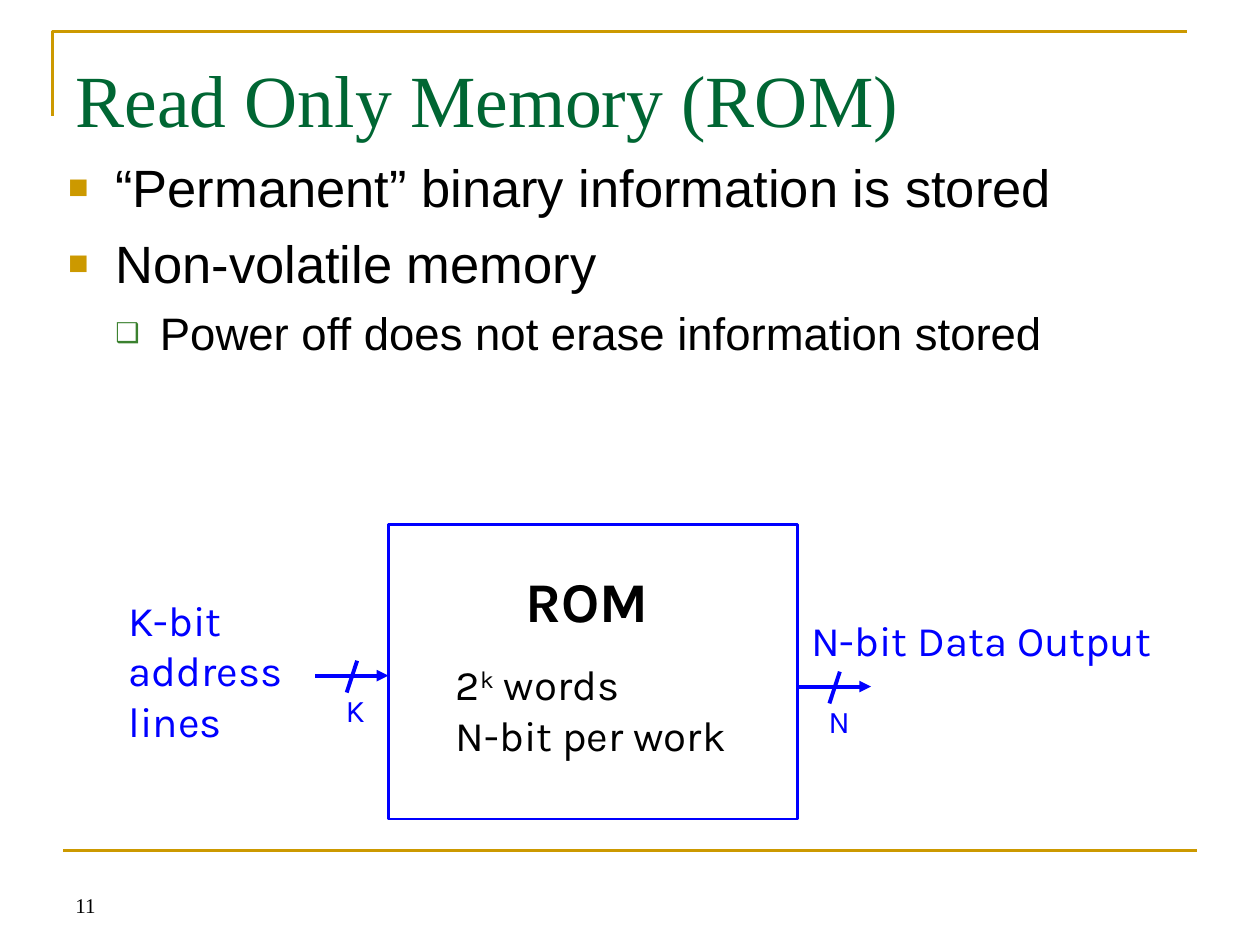
"""Build a slide on read-only memory with a block diagram of its inputs and outputs."""
from lxml.etree import SubElement
from pptx import Presentation
from pptx.dml.color import RGBColor
from pptx.enum.shapes import MSO_CONNECTOR as Connector, MSO_SHAPE as Shape
from pptx.enum.text import MSO_ANCHOR as Anchor, MSO_AUTO_SIZE as AutoSize, PP_ALIGN as Align
from pptx.oxml.ns import qn
from pptx.util import Cm, Pt

GOLD, GREEN, BLUE, BLACK = "CC9900", "006633", "0000FF", "000000"


def color(hex_string):
    return RGBColor.from_string(hex_string)


def add_run(paragraph, text, name, size, hex_string, bold=False):
    run = paragraph.add_run()
    run.text = text
    for attribute, value in {"name": name, "size": Pt(size), "bold": bold}.items():
        setattr(run.font, attribute, value)
    run.font.color.rgb = color(hex_string)
    return run


presentation = Presentation()
presentation.slide_width, presentation.slide_height = Cm(25.4), Cm(19.05)
slide = presentation.slides.add_slide(presentation.slide_layouts[1])
shapes = slide.shapes
title, body = slide.placeholders

corner = shapes.build_freeform(Cm(1.06), Cm(2.33))
corner.add_line_segments([(Cm(1.06), Cm(0.63)), (Cm(23.92), Cm(0.63))], close=False)
frame = corner.convert_to_shape()
frame.shadow.inherit = False
frame.fill.background()
frame.line.color.rgb = color(GOLD)
frame.line.width = Pt(1.5)

placeholder_formats = [
    (title, (1.27, 0.76, 22.86, 3.18), 0.33),
    (body, (1.12, 2.92, 23.19, 5.74), 0.2),
]
for placeholder, box, margin_top in placeholder_formats:
    for attribute, value in zip(("left", "top", "width", "height"), box):
        setattr(placeholder, attribute, Cm(value))
    frame_format = {
        "vertical_anchor": Anchor.TOP,
        "auto_size": AutoSize.NONE,
        "word_wrap": True,
        "margin_top": Cm(margin_top),
    }
    for attribute, value in frame_format.items():
        setattr(placeholder.text_frame, attribute, value)

heading = title.text_frame.paragraphs[0]
heading.alignment = Align.LEFT
add_run(heading, "Read Only Memory (ROM)", "Times New Roman", 42, GREEN)

level_formats = [
    {"left": 0.95, "hanging": 0.95, "before": 7.5, "bullet": "■", "color": GOLD, "percent": 65, "size": 30},
    {"left": 1.85, "hanging": 0.9, "before": 6.5, "bullet": "❑", "color": "3B812F", "percent": 60, "size": 26},
]
points = [
    ("“Permanent” binary information is stored", 0),
    ("Non-volatile memory", 0),
    ("Power off does not erase information stored", 1),
]
for index, (text, level) in enumerate(points):
    style = level_formats[level]
    paragraph = body.text_frame.paragraphs[0] if index == 0 else body.text_frame.add_paragraph()
    paragraph.level = level
    paragraph.space_before = Pt(style["before"] if index else 0)
    properties = paragraph._p.get_or_add_pPr()
    properties.set("marL", str(Cm(style["left"])))
    properties.set("indent", str(-Cm(style["hanging"])))
    bullet_color = SubElement(properties, qn("a:buClr"))
    SubElement(bullet_color, qn("a:srgbClr"), val=style["color"])
    SubElement(properties, qn("a:buSzPct"), val=str(style["percent"] * 1000))
    SubElement(properties, qn("a:buChar"), char=style["bullet"])
    add_run(paragraph, text, "Arial", style["size"], BLACK)

rom = shapes.add_shape(Shape.RECTANGLE, Cm(7.83), Cm(10.58), Cm(8.25), Cm(5.93))
rom.shadow.inherit = False
rom.fill.background()
rom.line.color.rgb = color(BLUE)
rom.line.width = Pt(1.5)

lines = [((1.27, 17.15), (24.13, 17.15), GOLD, 1.5, False)]
labels = [
    ((1.27, 17.35, 5.92, 1.27), ["11"], "Times New Roman", 12, BLACK, False, True),
    ((8.94, 13.16, 6.22, 2.29), ["2", "N-bit per work"], "Karla", 24, BLACK, False, False),
    ((10.34, 11.3, 3.23, 1.63), ["ROM"], "Karla", 32, BLACK, True, False),
    ((16.1, 12.27, 7.62, 1.27), ["N-bit Data Output"], "Karla", 24, BLUE, False, False),
    ((2.34, 11.86, 5.51, 3.3), ["K-bit address lines"], "Karla", 24, BLUE, False, True),
]
for bus, x, y in [("K", 6.35, 13.62), ("N", 16.08, 13.84)]:
    lines.append(((x, y), (x + 1.48, y), BLUE, 2.25, True))
    lines.append(((x + 0.85, y - 0.3), (x + 0.64, y + 0.34), BLUE, 2.25, False))
    labels.append(((x + 0.37, y + 0.18, 0.95, 1.02), [bus], "Karla", 18, BLUE, False, False))

for start, end, line_color, width, arrow in lines:
    connector = shapes.add_connector(Connector.STRAIGHT, *map(Cm, start + end))
    connector.line.color.rgb = color(line_color)
    connector.line.width = Pt(width)
    if arrow:
        SubElement(connector.line._get_or_add_ln(), qn("a:tailEnd"), type="triangle")
    SubElement(connector._element.spPr, qn("a:effectLst"))

for box, texts, font_name, size, text_color, bold, wrap in labels:
    text_frame = shapes.add_textbox(*map(Cm, box)).text_frame
    text_frame.word_wrap = wrap
    text_frame.vertical_anchor = Anchor.BOTTOM if texts == ["11"] else Anchor.TOP
    for index, text in enumerate(texts):
        paragraph = text_frame.paragraphs[0] if index == 0 else text_frame.add_paragraph()
        add_run(paragraph, text, font_name, size, text_color, bold)
        if text == "2":
            exponent = add_run(paragraph, "k", font_name, size, text_color)
            exponent._r.get_or_add_rPr().set("baseline", "30000")
            add_run(paragraph, " words", font_name, size, text_color)

presentation.save("out.pptx")
